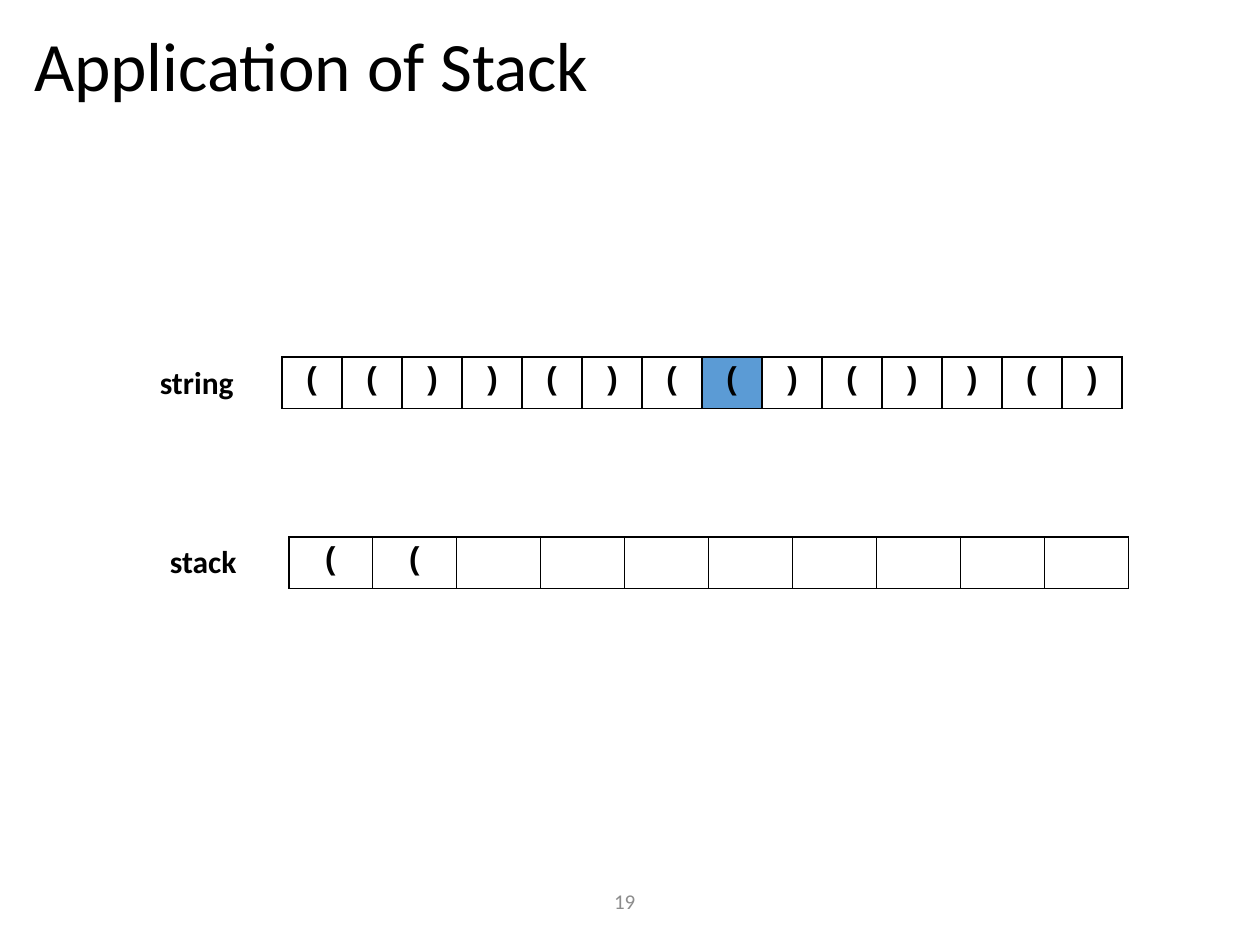
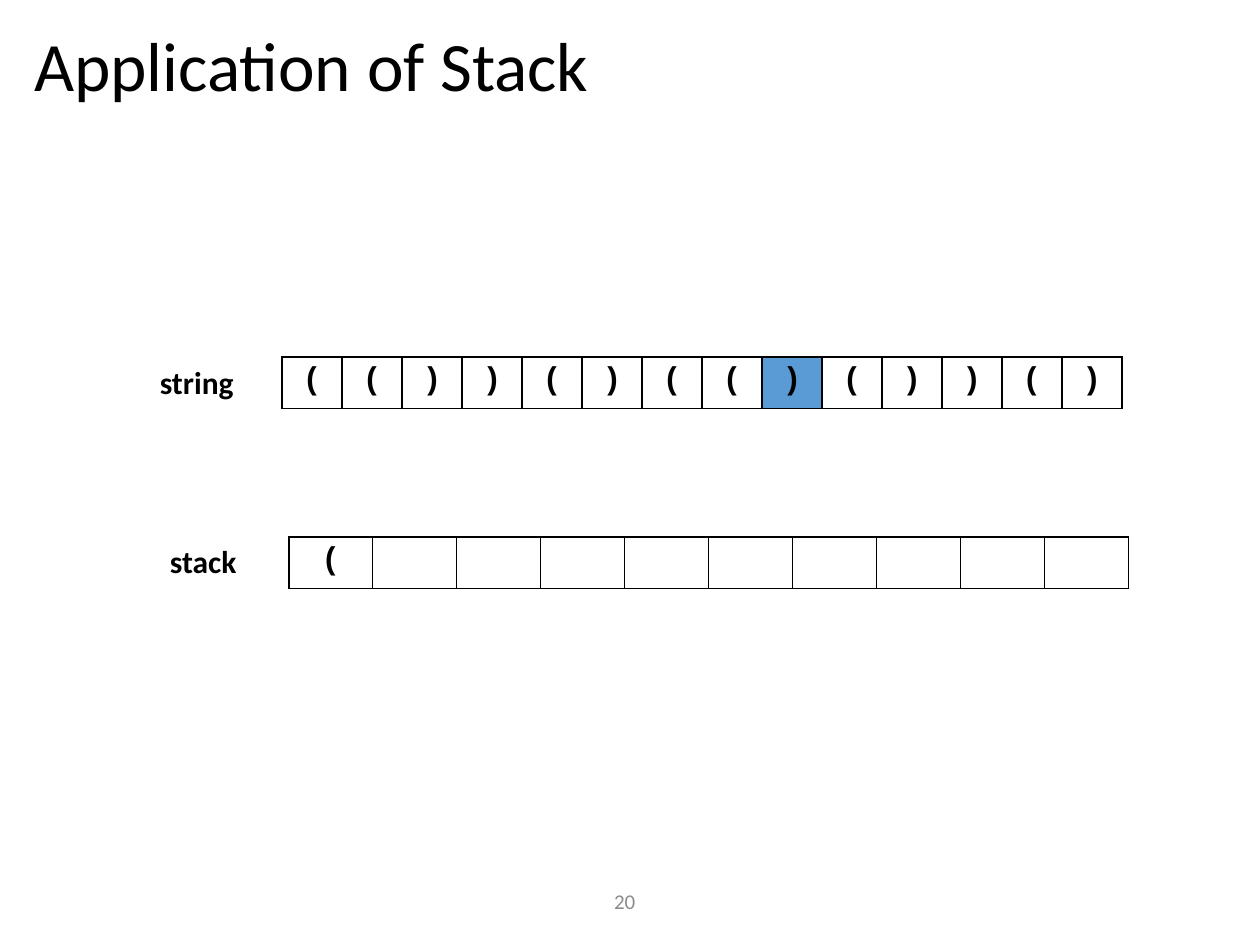
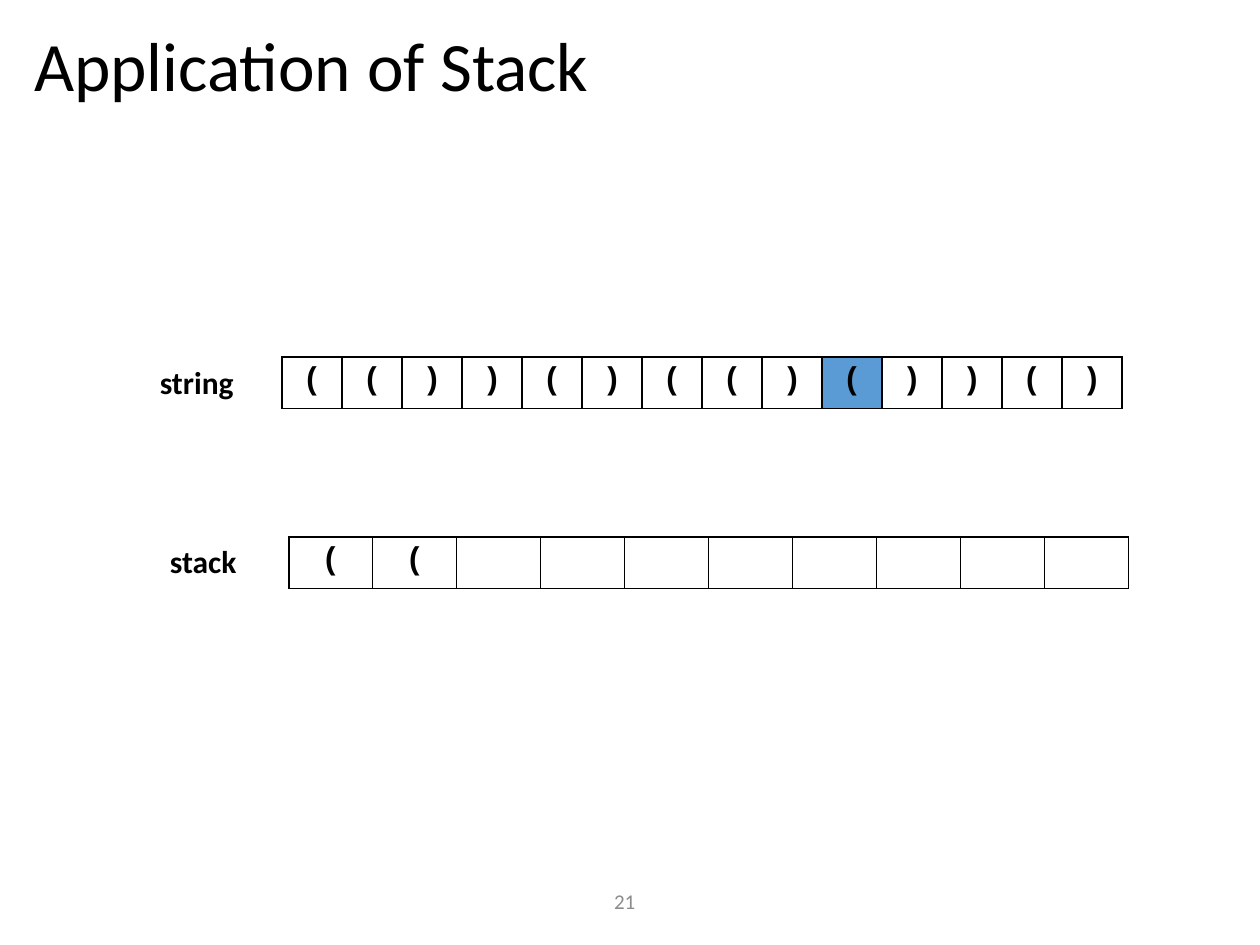
from dataclasses import dataclass
from typing import Any

from lxml import etree
from pptx import Presentation
from pptx.dml.color import RGBColor
from pptx.enum import text as t
from pptx.oxml import ns
from pptx.util import Pt


# Theme: colours, fonts and type sizes
@dataclass(frozen=True)
class Theme:
    ink: str = "000000"
    mark: str = "5B9BD5"
    grey: str = "8C8C8C"
    sans: str = "Calibri"
    mono: str = "Courier New"
    head: float = 39.6
    body: float = 18
    foot: float = 12
    line: float = 1


THEME = Theme()
FORMS: dict[str, dict[str, Any]] = {
    "title": dict(name=THEME.sans, size=Pt(THEME.head), bold=False),
    "label": dict(name=THEME.sans, size=Pt(THEME.body), bold=True),
    "cell": dict(name=THEME.mono, size=Pt(THEME.body), bold=True),
    "foot": dict(name=THEME.sans, size=Pt(THEME.foot), bold=False),
}


# Parts of a slide, in points
@dataclass(frozen=True)
class Box:
    left: float
    top: float
    width: float
    height: float

    def lengths(self) -> tuple[Pt, Pt, Pt, Pt]:
        return Pt(self.left), Pt(self.top), Pt(self.width), Pt(self.height)


@dataclass(frozen=True)
class Strip:
    label: str
    spot: Box
    grid: Box
    count: int


@dataclass(frozen=True)
class Step:
    page: int
    mark: int
    stack: str


TITLE = "Application of Stack"
TITLE_BOX = Box(12.25, 13, 692.5, 53.25)
FOOT_BOX = Box(188.5, 500.5, 337, 28.75)
INPUT = "(())()(()())()"
STACK = Strip("stack", Box(90, 306, 64, 29), Box(165, 306.75, 480, 29.5), 10)
STRING = Strip("string", Box(84.25, 204, 67, 29), Box(161.25, 204, 480, 29.5), len(INPUT))
STEPS = [Step(19, 7, "(("), Step(20, 8, "("), Step(21, 9, "((")]


def apply(item: Any, form: dict[str, Any]) -> None:
    for key, value in form.items():
        setattr(item, key, value)


def write(frame: Any, words: str, form: str, align: t.PP_ALIGN, color: str = THEME.ink) -> Any:
    para = frame.paragraphs[0]
    para.alignment = align
    run = para.add_run()
    run.text = words
    apply(run.font, FORMS[form])
    run.font.color.rgb = RGBColor.from_string(color)
    return para


def add_text(slide: Any, box: Box, words: str, form: str, align: t.PP_ALIGN,
             color: str = THEME.ink, anchor: t.MSO_ANCHOR = t.MSO_ANCHOR.TOP) -> None:
    frame = slide.shapes.add_textbox(*box.lengths()).text_frame
    apply(frame, dict(word_wrap=True, vertical_anchor=anchor))
    write(frame, words, form, align, color)


def add_edges(cell: Any) -> None:
    props = cell._tc.get_or_add_tcPr()
    for side in ("lnL", "lnR", "lnT", "lnB"):
        edge = etree.SubElement(props, ns.qn(f"a:{side}"), w=str(Pt(THEME.line)))
        fill = etree.SubElement(edge, ns.qn("a:solidFill"))
        etree.SubElement(fill, ns.qn("a:srgbClr"), val=THEME.ink)


def add_strip(slide: Any, strip: Strip, signs: str, mark: int | None = None) -> None:
    table = slide.shapes.add_table(1, strip.count, *strip.grid.lengths()).table
    apply(table, dict(first_row=False, horz_banding=False))
    for col in table.columns:
        col.width = Pt(strip.grid.width / strip.count)
    for i, cell in enumerate(table.rows[0].cells):
        add_edges(cell)
        if i == mark:
            cell.fill.solid()
            cell.fill.fore_color.rgb = RGBColor.from_string(THEME.mark)
        else:
            cell.fill.background()
        if i < len(signs):
            write(cell.text_frame, signs[i], "cell", t.PP_ALIGN.CENTER)
    add_text(slide, strip.spot, strip.label, "label", t.PP_ALIGN.LEFT)


def add_title(slide: Any) -> None:
    title = slide.shapes.title
    apply(title, dict(zip(("left", "top", "width", "height"), TITLE_BOX.lengths())))
    apply(title.text_frame, dict(word_wrap=True, vertical_anchor=t.MSO_ANCHOR.MIDDLE,
                                 auto_size=t.MSO_AUTO_SIZE.NONE))
    write(title.text_frame, TITLE, "title", t.PP_ALIGN.LEFT).line_spacing = 0.9


def add_step(deck: Any, step: Step) -> None:
    slide = deck.slides.add_slide(deck.slide_layouts[5])
    add_title(slide)
    add_text(slide, FOOT_BOX, str(step.page), "foot", t.PP_ALIGN.CENTER,
             THEME.grey, t.MSO_ANCHOR.MIDDLE)
    add_strip(slide, STACK, step.stack)
    add_strip(slide, STRING, INPUT, step.mark)


def main() -> None:
    deck = Presentation()
    apply(deck, dict(slide_width=Pt(720), slide_height=Pt(540)))
    for step in STEPS:
        add_step(deck, step)
    deck.save("out.pptx")


if __name__ == "__main__":
    main()
